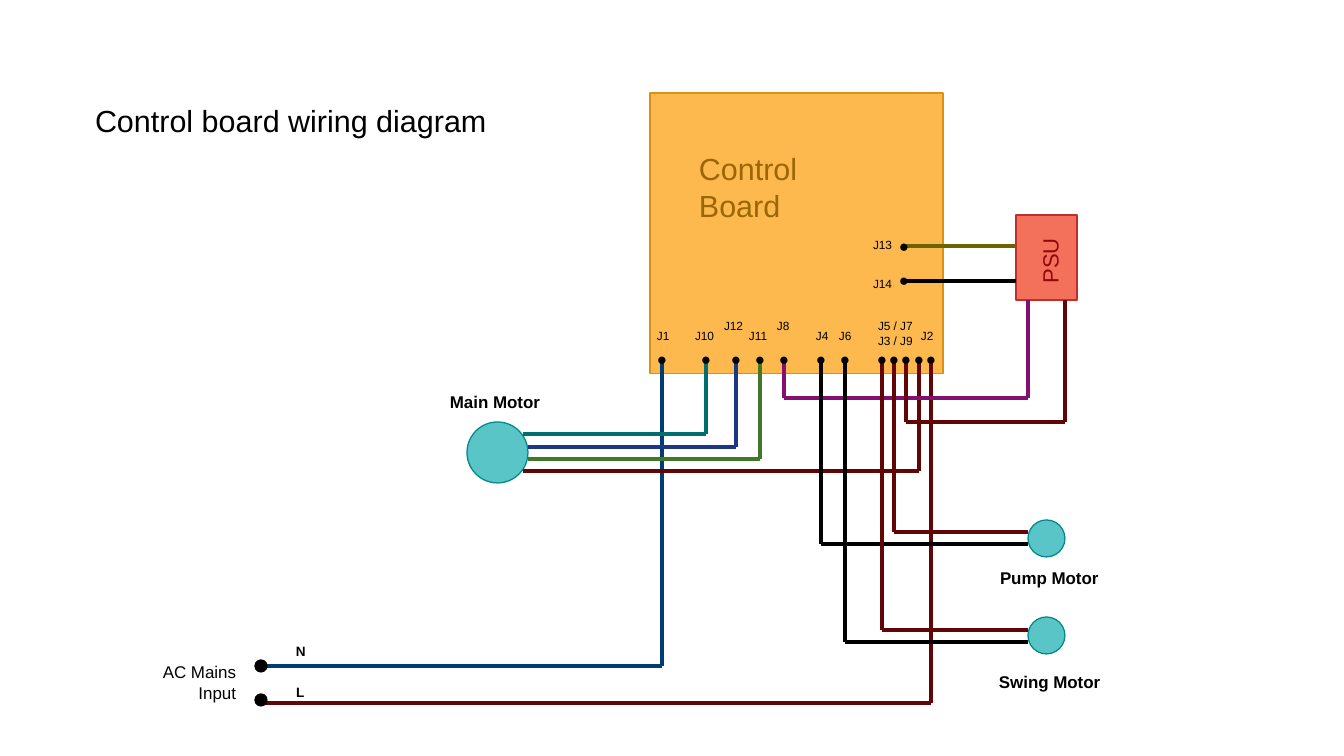
from pptx import Presentation
from pptx.dml.color import RGBColor
from pptx.enum.shapes import MSO_CONNECTOR, MSO_SHAPE
from pptx.enum.text import PP_ALIGN
from pptx.oxml.ns import qn
from pptx.util import Pt
from lxml.etree import SubElement

PX = 914400 / 122

BLACK = RGBColor(0x00, 0x00, 0x00)
ORANGE = RGBColor(0xFD, 0xB9, 0x4D)
ORANGE_EDGE = RGBColor(0xD9, 0x91, 0x16)
BROWN = RGBColor(0x9A, 0x67, 0x04)
CORAL = RGBColor(0xF3, 0x71, 0x5A)
CORAL_EDGE = RGBColor(0xBC, 0x31, 0x2E)
CRIMSON = RGBColor(0x94, 0x07, 0x0A)
AQUA = RGBColor(0x59, 0xC5, 0xC7)
AQUA_EDGE = RGBColor(0x00, 0x88, 0x8A)
NAVY = RGBColor(0x00, 0x3D, 0x73)
MAROON = RGBColor(0x61, 0x05, 0x06)
TEAL = RGBColor(0x00, 0x6D, 0x6F)
BLUE = RGBColor(0x1C, 0x36, 0x87)
GREEN = RGBColor(0x40, 0x79, 0x27)
PURPLE = RGBColor(0x82, 0x0F, 0x71)
OLIVE = RGBColor(0x6B, 0x64, 0x00)

deck = Presentation()
deck.slide_width = round(1344 * PX)
deck.slide_height = round(756 * PX)
slide = deck.slides.add_slide(deck.slide_layouts[6])


def add_component(kind, box, fill, edge):
    component = slide.shapes.add_shape(kind, *[round(v * PX) for v in box])
    component.shadow.inherit = False
    component.fill.solid()
    component.fill.fore_color.rgb = fill
    component.line.color.rgb = edge
    component.line.width = 0


def add_label(text, box, size, color=BLACK, bold=False, wrap=False, align=PP_ALIGN.LEFT):
    label = slide.shapes.add_textbox(*[round(v * PX) for v in box])
    label.text_frame.word_wrap = wrap
    label.text_frame.text = text
    for paragraph in label.text_frame.paragraphs:
        paragraph.alignment = align
        font = paragraph.runs[0].font
        for attribute, value in {"name": "Arial", "size": Pt(size), "bold": bold}.items():
            setattr(font, attribute, value)
        font.color.rgb = color
    return label


add_component(MSO_SHAPE.RECTANGLE, (650, 93, 293, 281), ORANGE, ORANGE_EDGE)
add_component(MSO_SHAPE.RECTANGLE, (1016, 215, 61, 85), CORAL, CORAL_EDGE)
for motor in [(467, 422, 61, 61), (1028, 520, 37, 37), (1028, 617, 37, 37)]:
    add_component(MSO_SHAPE.OVAL, motor, AQUA, AQUA_EDGE)

PIN_Y = 361
PSU_LEFT, PSU_BOTTOM = 1016, 300
MOTOR_LEFT = 1028
MAINS_X = 260

wires = [
    (NAVY, [(662, PIN_Y), (662, 666), (MAINS_X, 666)]),
    (MAROON, [(931, PIN_Y), (931, 703), (MAINS_X, 703)]),
    (TEAL, [(706, PIN_Y), (706, 434), (523, 434)]),
    (BLUE, [(736, PIN_Y), (736, 447), (528, 447)]),
    (GREEN, [(760, PIN_Y), (760, 459), (528, 459)]),
    (MAROON, [(919, PIN_Y), (919, 471), (523, 471)]),
    (PURPLE, [(784, PIN_Y), (784, 398), (1028, 398), (1028, PSU_BOTTOM)]),
    (MAROON, [(906, PIN_Y), (906, 422), (1065, 422), (1065, PSU_BOTTOM)]),
    (OLIVE, [(906, 246), (PSU_LEFT, 246)]),
    (BLACK, [(906, 281), (PSU_LEFT, 281)]),
    (BLACK, [(821, PIN_Y), (821, 544), (MOTOR_LEFT, 544)]),
    (MAROON, [(894, PIN_Y), (894, 532), (MOTOR_LEFT, 532)]),
    (BLACK, [(845, PIN_Y), (845, 642), (MOTOR_LEFT, 642)]),
    (MAROON, [(882, PIN_Y), (882, 630), (MOTOR_LEFT, 630)]),
]
for color, corners in wires:
    for start, end in zip(corners, corners[1:]):
        ends = [round(v * PX) for v in start + end]
        wire = slide.shapes.add_connector(MSO_CONNECTOR.STRAIGHT, *ends)
        wire.line.color.rgb = color
        wire.line.width = 0
        SubElement(wire._element.spPr, qn("a:effectLst"))

for terminal_y in (660, 694):
    add_component(MSO_SHAPE.OVAL, (255, terminal_y, 12, 12), BLACK, BLACK)

bottom_pins = [corners[0] for _, corners in wires if corners[0][1] == PIN_Y]
for pin_x, pin_y in bottom_pins + [(904, 248), (904, 282)]:
    add_label("●", (pin_x - 17, pin_y - 18, 34, 30), 10)

for jack, left, top, width in [
    ("J1", 645, 323, 37), ("J10", 683, 323, 43), ("J12", 712, 313, 43),
    ("J11", 737, 323, 43), ("J8", 765, 313, 37), ("J4", 804, 323, 37),
    ("J6", 827, 323, 37), ("J2", 909, 323, 37), ("J13", 861, 232, 43),
    ("J14", 861, 271, 43), ("J5 / J7\nJ3 / J9", 866, 313, 65),
]:
    add_label(jack, (left, top, width, 26), 7)

for motor, left, top, width in [
    ("Main Motor", 438, 386, 115),
    ("Pump Motor", 988, 562, 123),
    ("Swing Motor", 987, 666, 126),
]:
    add_label(motor, (left, top, width, 30), 10, bold=True)

add_label("N", (284, 637, 34, 27), 8, bold=True)
add_label("L", (284, 678, 33, 27), 8, bold=True)
add_label("AC Mains Input", (138, 656, 110, 50), 10, wrap=True, align=PP_ALIGN.RIGHT)
add_label("Control Board", (687, 144, 212, 46), 18, BROWN)
add_label("PSU", (1014, 242, 70, 37), 13, CRIMSON).rotation = 270
add_label("Control board wiring diagram", (83, 96, 416, 46), 18)

deck.save("out.pptx")
